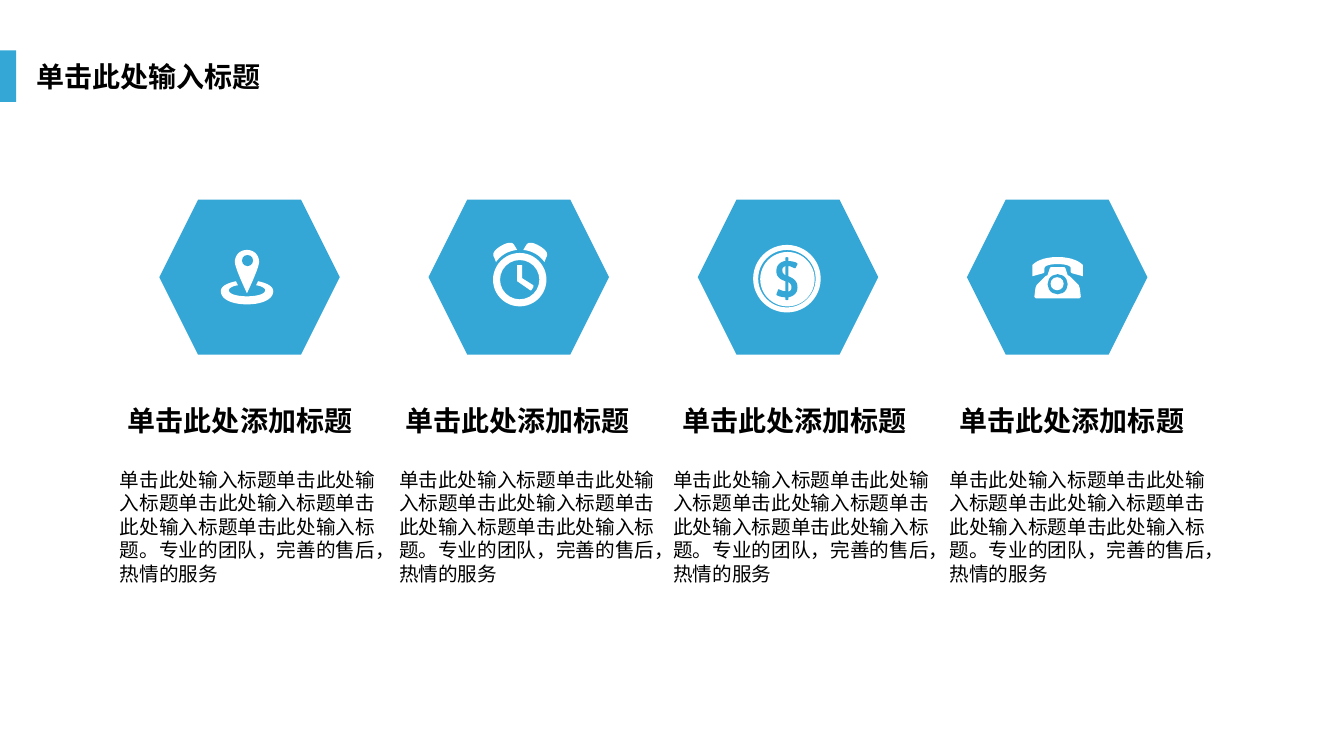
from lxml.etree import SubElement
from pptx import Presentation
from pptx.dml.color import RGBColor
from pptx.enum.shapes import MSO_SHAPE as Preset
from pptx.enum.text import MSO_ANCHOR as Anchor, MSO_AUTO_SIZE as AutoSize, PP_ALIGN as Align
from pptx.oxml.ns import qn
from pptx.util import Inches, Pt

COLORS = {"blue": "34A7D7", "white": "FFFFFF", "black": "000000"}
FONT = "Noto Sans CJK SC"
TITLE = "单击此处输入标题"
HEADING = "单击此处添加标题"
BODY = TITLE * 5 + "。专业的团队，完善的售后，热情的服务"
TITLE_STYLE = {"size": Pt(20), "bold": True}
BODY_STYLE = {"size": Pt(14), "bold": False}
HEXAGON_LEFT, HEXAGON_PITCH = 1.58, 2.67
HEADING_LEFT, HEADING_PITCH = 1.17, 2.75
BODY_LEFTS = (1.09, 3.86, 6.58, 9.32)
CURVE_STEPS = 10


def paint(shape, color):
    """Give a shape a plain fill without line or shadow."""
    shape.fill.solid()
    shape.fill.fore_color.rgb = RGBColor.from_string(COLORS[color])
    shape.line.fill.background()
    shape.shadow.inherit = False


def add_preset(shapes, preset, left, top, width, height, color):
    """Add a filled preset shape."""
    shape = shapes.add_shape(preset, Inches(left), Inches(top), Inches(width), Inches(height))
    paint(shape, color)
    return shape


def add_ring(shapes, left, top, size, thickness):
    """Add a white ring of the given thickness."""
    ring = add_preset(shapes, Preset.DONUT, left, top, size, size, "white")
    ring.adjustments[0] = thickness / size


def trace(*segments):
    """Turn points (x, y) and cubic curves (six numbers) into a list of points."""
    points = []
    for segment in segments:
        if len(segment) == 2:
            points.append(segment)
            continue
        knots = [points[-1], segment[:2], segment[2:4], segment[4:]]
        for step in range(1, CURVE_STEPS + 1):
            t = step / CURVE_STEPS
            weights = ((1 - t) ** 3, 3 * t * (1 - t) ** 2, 3 * t * t * (1 - t), t ** 3)
            points.append(tuple(sum(w * knot[axis] for w, knot in zip(weights, knots))
                                for axis in (0, 1)))
    return points


def mirror(points, axis):
    """Reflect points about a vertical axis."""
    return [(2 * axis - x, y) for x, y in points]


def add_outline(shapes, color, *contours):
    """Add a filled freeform made of closed contours."""
    builder = None
    for contour in contours:
        start, *rest = [(Inches(x), Inches(y)) for x, y in contour]
        if builder is None:
            builder = shapes.build_freeform(*start)
        else:
            builder.move_to(*start)
        builder.add_line_segments(rest, close=True)
    paint(builder.convert_to_shape(), color)


def fill_text(box, text, style):
    """Write one formatted paragraph into a box."""
    frame = box.text_frame
    settings = {"word_wrap": True, "vertical_anchor": Anchor.TOP, "auto_size": AutoSize.NONE,
                "margin_left": Inches(0.1), "margin_right": Inches(0.1),
                "margin_top": Inches(0.05), "margin_bottom": Inches(0.05)}
    for name, value in settings.items():
        setattr(frame, name, value)
    para = frame.paragraphs[0]
    para.alignment = Align.LEFT
    span = para.add_run()
    span.text = text
    for name, value in {**style, "name": FONT}.items():
        setattr(span.font, name, value)
    span.font.color.rgb = RGBColor.from_string(COLORS["black"])
    SubElement(span._r.get_or_add_rPr(), qn("a:ea"), typeface=FONT)


def add_text(page, left, top, width, height, text, style):
    """Add a text box."""
    box = page.shapes.add_textbox(Inches(left), Inches(top), Inches(width), Inches(height))
    fill_text(box, text, style)


def set_title(page):
    """Place and format the slide title."""
    title = page.shapes.title
    frame = {"left": 0.26, "top": 0.54, "width": 3.38, "height": 0.44}
    for name, value in frame.items():
        setattr(title, name, Inches(value))
    fill_text(title, TITLE, TITLE_STYLE)


def draw_pin(shapes):
    """Draw the map pin standing in its ring."""
    axis = 2.45
    base_half = trace((2.56, 2.79), (2.65, 2.81, 2.71, 2.84, 2.71, 2.89),
                      (2.71, 2.97, 2.6, 3.02, axis, 3.02))
    inner_half = trace((axis, 2.94), (2.54, 2.94, 2.63, 2.92, 2.63, 2.88),
                       (2.63, 2.86, 2.6, 2.84, 2.54, 2.83))
    add_outline(shapes, "white", base_half + mirror(base_half, axis)[::-1]
                + mirror(inner_half, axis)[::-1] + inner_half)
    pin_half = trace((axis, 2.91), (axis, 2.91, 2.57, 2.66, 2.57, 2.6),
                     (2.57, 2.53, 2.52, 2.48, axis, 2.48))
    add_outline(shapes, "white", pin_half + mirror(pin_half, axis)[::-1])
    add_preset(shapes, Preset.OVAL, 2.4, 2.53, 0.11, 0.11, "blue")


def draw_clock(shapes):
    """Draw the alarm clock."""
    bell = trace((5.13, 2.48), (5.1, 2.43), (5.08, 2.4, 5.04, 2.4, 4.97, 2.44),
                 (4.9, 2.48, 4.88, 2.52, 4.9, 2.55), (4.92, 2.6),
                 (4.97, 2.53, 5.04, 2.49, 5.13, 2.48))
    for points in (bell, mirror(bell, 5.16)):
        add_outline(shapes, "white", points)
    add_ring(shapes, 4.89, 2.51, 0.53, 0.07)
    add_outline(shapes, "white", [(5.13, 2.63), (5.18, 2.63), (5.18, 2.76), (5.29, 2.83),
                                  (5.29, 2.85), (5.27, 2.88), (5.26, 2.88), (5.13, 2.79)])


def draw_coin(shapes):
    """Draw the dollar coin."""
    add_ring(shapes, 7.47, 2.43, 0.67, 0.05)
    add_preset(shapes, Preset.OVAL, 7.54, 2.5, 0.54, 0.54, "white")
    dollar = trace((7.82, 2.95), (7.82, 2.97), (7.82, 2.98, 7.79, 2.98, 7.79, 2.97),
                   (7.79, 2.95), (7.77, 2.95, 7.7, 2.94, 7.7, 2.92), (7.72, 2.87),
                   (7.73, 2.87, 7.76, 2.89, 7.79, 2.89), (7.79, 2.79),
                   (7.76, 2.78, 7.7, 2.76, 7.7, 2.69), (7.7, 2.61, 7.77, 2.59, 7.79, 2.59),
                   (7.79, 2.56), (7.79, 2.55, 7.82, 2.55, 7.82, 2.56), (7.82, 2.59),
                   (7.84, 2.59, 7.91, 2.6, 7.91, 2.62), (7.89, 2.66),
                   (7.88, 2.67, 7.85, 2.64, 7.82, 2.64), (7.82, 2.74),
                   (7.86, 2.76, 7.91, 2.78, 7.91, 2.85), (7.91, 2.92, 7.86, 2.94, 7.82, 2.95))
    add_outline(shapes, "blue", dollar)
    add_outline(shapes, "white", trace((7.82, 2.8), (7.82, 2.89),
                                       (7.83, 2.89, 7.85, 2.88, 7.85, 2.85),
                                       (7.85, 2.82, 7.83, 2.81, 7.82, 2.8)))
    add_outline(shapes, "white", trace((7.76, 2.68), (7.76, 2.71, 7.78, 2.72, 7.79, 2.73),
                                       (7.79, 2.64), (7.78, 2.65, 7.76, 2.65, 7.76, 2.68)))


def draw_phone(shapes):
    """Draw the desk telephone."""
    axis = 10.49
    handset_half = trace((axis, 2.55), (10.68, 2.55, 10.74, 2.63, 10.74, 2.63), (10.74, 2.74),
                         (10.63, 2.71), (10.62, 2.7), (10.62, 2.66),
                         (10.62, 2.64, 10.58, 2.62, axis, 2.62))
    body_half = trace((axis, 2.65), (10.55, 2.65), (10.56, 2.65, 10.57, 2.66, 10.57, 2.67),
                      (10.59, 2.73), (10.61, 2.74), (10.7, 2.83),
                      (10.7, 2.84, 10.71, 2.85, 10.71, 2.86), (10.72, 2.94),
                      (10.72, 2.95, 10.71, 2.96, 10.7, 2.96), (axis, 2.96))
    for half in (handset_half, body_half):
        add_outline(shapes, "white", half + mirror(half, axis)[::-1])
    add_preset(shapes, Preset.OVAL, 10.39, 2.72, 0.2, 0.2, "blue")
    add_preset(shapes, Preset.OVAL, 10.42, 2.75, 0.13, 0.13, "white")


def main():
    """Build the slide and save it."""
    deck = Presentation()
    deck.slide_width, deck.slide_height = Inches(13.33), Inches(7.5)
    page = deck.slides.add_slide(deck.slide_layouts[5])
    add_preset(page.shapes, Preset.RECTANGLE, 0, 0.5, 0.16, 0.51, "blue")
    set_title(page)
    icons = (draw_pin, draw_clock, draw_coin, draw_phone)
    for index, (draw_icon, body_left) in enumerate(zip(icons, BODY_LEFTS)):
        add_preset(page.shapes, Preset.HEXAGON, HEXAGON_LEFT + index * HEXAGON_PITCH, 1.98,
                   1.79, 1.54, "blue")
        draw_icon(page.shapes.add_group_shape().shapes)
        add_text(page, HEADING_LEFT + index * HEADING_PITCH, 3.95, 2.6, 0.44,
                 HEADING, TITLE_STYLE)
        add_text(page, body_left, 4.59, 2.78, 1.28, BODY, BODY_STYLE)
    deck.save("out.pptx")


if __name__ == "__main__":
    main()
